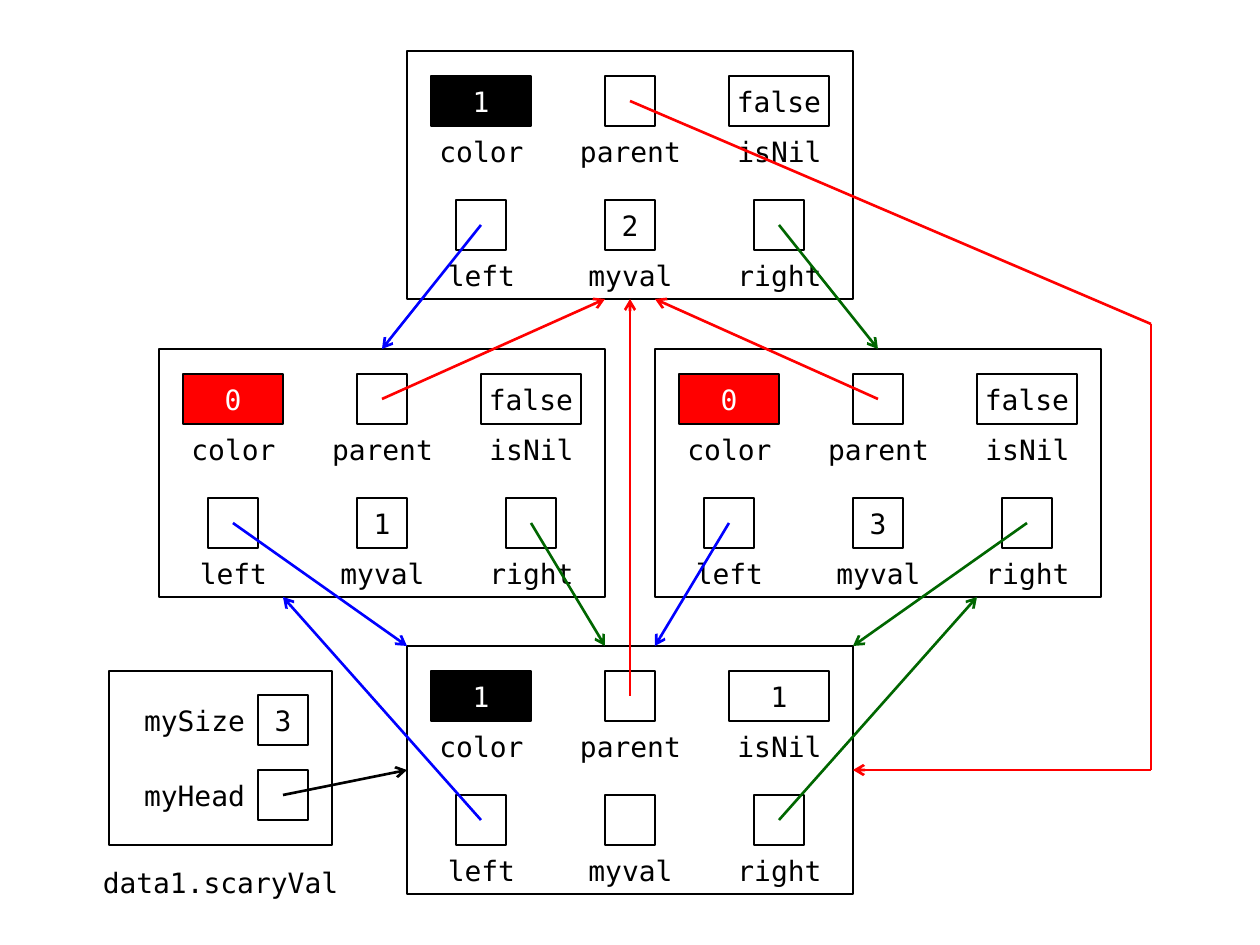
"""Draw a red-black tree of four linked nodes and its container."""
from dataclasses import dataclass

from lxml.etree import SubElement
from pptx import Presentation
from pptx.dml.color import RGBColor
from pptx.enum.shapes import MSO_CONNECTOR as CONN, MSO_SHAPE as SHAPE
from pptx.enum.text import MSO_ANCHOR as ANCHOR, PP_ALIGN as ALIGN
from pptx.oxml.ns import qn
from pptx.util import Emu, Pt

Point = tuple[int, int]


@dataclass(frozen=True)
class Theme:
    """Colours, font and sizes."""
    black: str = "000000"
    white: str = "FFFFFF"
    red: str = "FF0000"
    blue: str = "0000FF"
    green: str = "006600"
    font: str = "DejaVu Sans Mono"
    size: float = 16
    border: float = 1
    stroke: float = 1.5


T = Theme()
CELL, WIDE, PITCH = 50, 100, 149
NODE_W, NODE_H = 446, 248
COLS, ROWS = (74, 223, 372), (50, 174)
FIELDS = (("color", "parent", "isNil"), ("left", "myval", "right"))


@dataclass(frozen=True)
class Node:
    """A tree node with its position and field values."""
    x: int
    y: int
    color: str
    fill: str
    nil: str
    value: str = ""

    def port(self, field: str) -> Point:
        """Return the centre of a field's box."""
        row = next(i for i, names in enumerate(FIELDS) if field in names)
        return self.x + COLS[FIELDS[row].index(field)], self.y + ROWS[row]

    def top(self, dx: int) -> Point:
        """Return a point on the top edge."""
        return self.x + dx, self.y

    def bottom(self, dx: int) -> Point:
        """Return a point on the bottom edge."""
        return self.x + dx, self.y + NODE_H


@dataclass(frozen=True)
class Link:
    """A line between two points."""
    start: Point
    end: Point
    color: str
    arrow: bool = True


def px(n: float) -> Emu:
    """Turn pixels into EMU."""
    return Emu(round(n * 914400 / 126))


def add_text(s, text: str, color: str = T.black, align=ALIGN.CENTER, right: int = 0) -> None:
    """Write one formatted line into a shape."""
    tf = s.text_frame
    frame = {"word_wrap": True, "vertical_anchor": ANCHOR.MIDDLE, "margin_left": 0,
             "margin_right": px(right), "margin_top": 0, "margin_bottom": 0}
    for name, value in frame.items():
        setattr(tf, name, value)
    p = tf.paragraphs[0]
    p.alignment = align
    r = p.add_run()
    r.text = text
    for name, value in {"name": T.font, "size": Pt(T.size)}.items():
        setattr(r.font, name, value)
    r.font.color.rgb = RGBColor.from_string(color)


def add_box(x: int, y: int, w: int, h: int, text: str = "", fill: str = T.white) -> None:
    """Draw a bordered rectangle."""
    s = sp.add_shape(SHAPE.RECTANGLE, px(x), px(y), px(w), px(h))
    s.shadow.inherit = False
    s.fill.solid()
    s.fill.fore_color.rgb = RGBColor.from_string(fill)
    s.line.color.rgb = RGBColor.from_string(T.black)
    s.line.width = Pt(T.border)
    if text:
        add_text(s, text, T.black if fill == T.white else T.white)


def add_label(x: int, y: int, w: int, h: int, text: str, **style) -> None:
    """Place a plain label."""
    add_text(sp.add_textbox(px(x), px(y), px(w), px(h)), text, **style)


def add_node(node: Node) -> None:
    """Draw a node with its six fields."""
    add_box(node.x, node.y, NODE_W, NODE_H)
    values = {"color": node.color, "isNil": node.nil, "myval": node.value}
    for field in (f for names in FIELDS for f in names):
        cx, cy = node.port(field)
        w = WIDE if field in ("color", "isNil") else CELL
        fill = node.fill if field == "color" else T.white
        add_box(cx - w // 2, cy - CELL // 2, w, CELL, values.get(field, ""), fill)
        add_label(cx - PITCH // 2, cy + CELL // 2, PITCH, CELL, field)


def add_link(link: Link) -> None:
    """Draw a line, with an arrowhead if wanted."""
    s = sp.add_connector(CONN.STRAIGHT, *map(px, link.start + link.end))
    s.line.color.rgb = RGBColor.from_string(link.color)
    s.line.width = Pt(T.stroke)
    if link.arrow:
        SubElement(s.line._get_or_add_ln(), qn("a:tailEnd"), type="arrow")
    SubElement(s._element.spPr, qn("a:effectLst"))


prs = Presentation()
prs.slide_width, prs.slide_height = px(1260), px(945)
sp = prs.slides.add_slide(prs.slide_layouts[6]).shapes

head = Node(407, 646, "1", T.black, "1")
left = Node(159, 349, "0", T.red, "false", "1")
right = Node(655, 349, "0", T.red, "false", "3")
root = Node(407, 51, "1", T.black, "false", "2")
for node in (head, left, right, root):
    add_node(node)

add_box(109, 671, 223, 174)
add_label(84, 845, 273, 75, "data1.scaryVal")
for y, name, value in ((695, "mySize", "3"), (770, "myHead", "")):
    add_box(258, y, CELL, CELL, value)
    add_label(109, y, PITCH, CELL, name, align=ALIGN.RIGHT, right=13)

mid, near, far = COLS[1], COLS[1] - 25, COLS[1] + 25
turn, landing = (1151, 324), (1151, 770)
links = (
    Link((283, 795), (head.x, landing[1]), T.black),
    Link(head.port("left"), left.bottom(124), T.blue),
    Link(head.port("parent"), root.bottom(mid), T.red),
    Link(head.port("right"), right.bottom(NODE_W - 124), T.green),
    Link(left.port("parent"), root.bottom(near), T.red),
    Link(right.port("parent"), root.bottom(far), T.red),
    Link(root.port("left"), left.top(mid), T.blue),
    Link(root.port("right"), right.top(mid), T.green),
    Link(left.port("left"), head.top(0), T.blue),
    Link(left.port("right"), head.top(near), T.green),
    Link(right.port("left"), head.top(far), T.blue),
    Link(right.port("right"), head.top(NODE_W), T.green),
    Link(root.port("parent"), turn, T.red, False),
    Link(turn, landing, T.red, False),
    Link(landing, (head.x + NODE_W, landing[1]), T.red),
)
for link in links:
    add_link(link)

prs.save("out.pptx")
